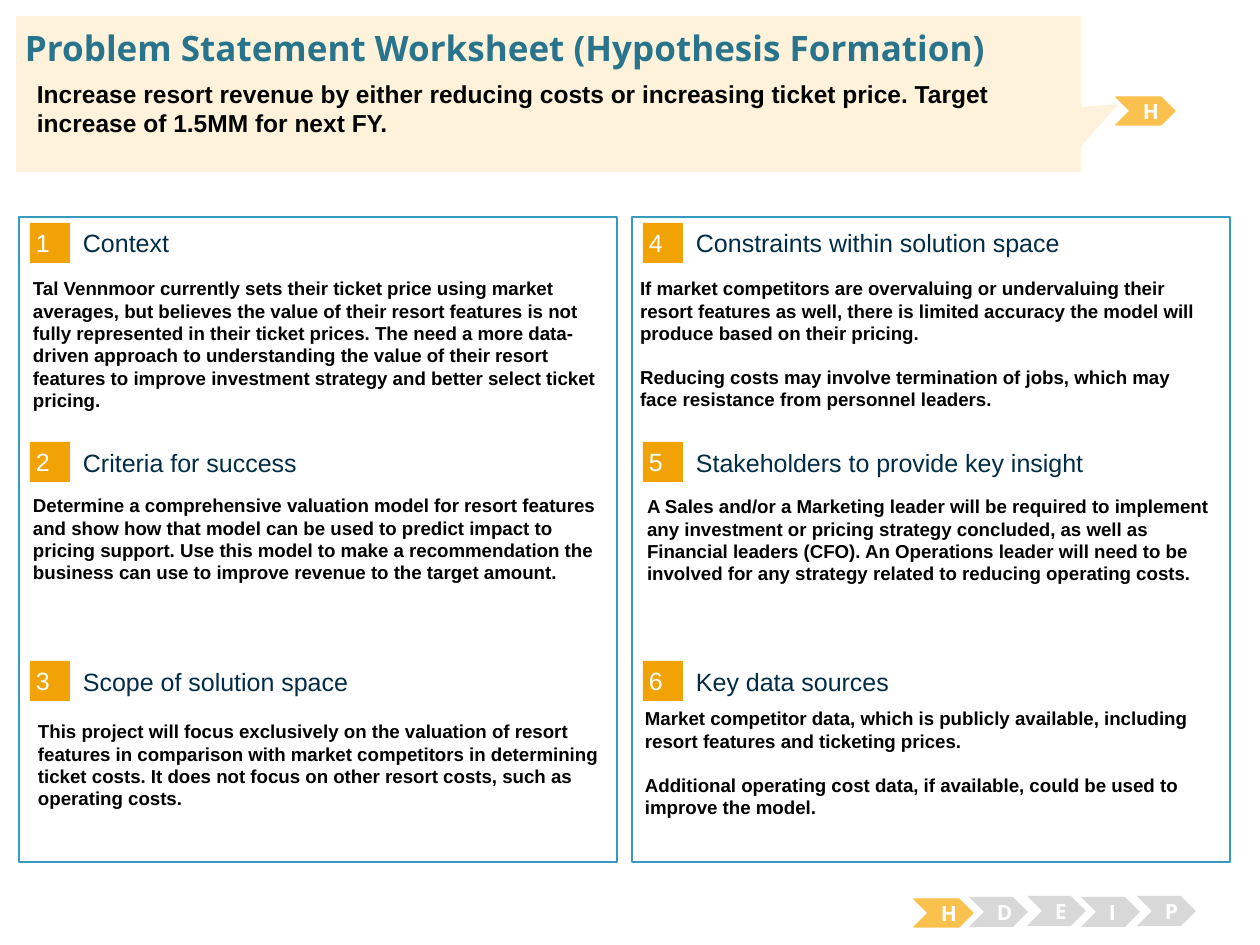
from dataclasses import dataclass
from pptx import Presentation
from pptx.dml.color import RGBColor as Color
from pptx.enum.shapes import MSO_SHAPE as Kind
from pptx.enum.text import MSO_ANCHOR as Anchor, PP_ALIGN as Align
from pptx.util import Emu, Pt

SCALE = 914400 / 126


@dataclass(frozen=True)
class Theme:
    """Colours, fonts and type sizes of the worksheet."""
    white: str = "FFFFFF"
    black: str = "000000"
    edge: str = "379BBD"
    badge: str = "F1A205"
    navy: str = "002C46"
    teal: str = "29748D"
    cream: str = "FEF2DA"
    gold: str = "FBC14E"
    grey: str = "D8D8D8"
    sans: str = "Arial"
    brand: str = "Open Sans"
    title: float = 20
    lead: float = 14
    head: float = 14.3
    body: float = 10.7
    flag: float = 12
    gap: float = 12.3


LOOK = Theme()
PAD = (13, 6, 13, 6)
NONE = (0, 0, 0, 0)

LEFT = [
    ("Context", (1, 54, 596, 171), [
        "Tal Vennmoor currently sets their ticket price using market averages, but believes "
        "the value of their resort features is not fully represented in their ticket prices. "
        "The need a more data-driven approach to understanding the value of their resort "
        "features to improve investment strategy and better select ticket pricing."]),
    ("Criteria for success", (1, 52, 596, 194), [
        "Determine a comprehensive valuation model for resort features and show how that "
        "model can be used to predict impact to pricing support. Use this model to make a "
        "recommendation the business can use to improve revenue to the target amount."]),
    ("Scope of solution space", (6, 59, 596, 103), [
        "This project will focus exclusively on the valuation of resort features in "
        "comparison with market competitors in determining ticket costs. It does not focus "
        "on other resort costs, such as operating costs."]),
]
RIGHT = [
    ("Constraints within solution space", (-5, 54, 596, 149), [
        "If market competitors are overvaluing or undervaluing their resort features as "
        "well, there is limited accuracy the model will produce based on their pricing.",
        "Reducing costs may involve termination of jobs, which may face resistance from "
        "personnel leaders."]),
    ("Stakeholders to provide key insight", (2, 53, 596, 149), [
        "A Sales and/or a Marketing leader will be required to implement any investment or "
        "pricing strategy concluded, as well as Financial leaders (CFO). An Operations "
        "leader will need to be involved for any strategy related to reducing operating "
        "costs."]),
    ("Key data sources", (0, 46, 596, 149), [
        "Market competitor data, which is publicly available, including resort features "
        "and ticketing prices.",
        "Additional operating cost data, if available, could be used to improve the model."]),
]
STEPS = [("H", 0, 3), ("D", 55, 1), ("E", 113, 0), ("I", 167, 1), ("P", 223, 0)]


def px(num):
    """Turn pixels into EMU."""
    return Emu(round(num * SCALE))


def write(shape, lines, size, color, font=LOOK.sans, bold=False, pad=PAD,
          anchor=Anchor.TOP, align=Align.LEFT):
    """Set the text of a shape and format its runs."""
    frame = shape.text_frame
    frame.text = "\n".join(lines)
    frame.word_wrap = True
    frame.vertical_anchor = anchor
    (frame.margin_left, frame.margin_top,
     frame.margin_right, frame.margin_bottom) = map(px, pad)
    for rank, para in enumerate(frame.paragraphs):
        para.alignment = align
        para.space_before = Pt(LOOK.gap if rank else 0)
        for run in para.runs:
            run.font.size = Pt(size)
            run.font.name = font
            run.font.bold = bold
            run.font.color.rgb = Color.from_string(color)


def label(slide, box, lines, size, color, **style):
    """Add a text box."""
    write(slide.shapes.add_textbox(*map(px, box)), lines, size, color, **style)


def block(slide, kind, box, fill, line=None, width=0.75):
    """Add a flat preset shape."""
    shape = slide.shapes.add_shape(kind, *map(px, box))
    shape.shadow.inherit = False
    shape.fill.solid()
    shape.fill.fore_color.rgb = Color.from_string(fill)
    if line:
        shape.line.color.rgb = Color.from_string(line)
        shape.line.width = Pt(width)
    else:
        shape.line.fill.background()
    return shape


def section(slide, left, top, num, head, body, lines):
    """Place a numbered heading and its body text."""
    badge = block(slide, Kind.RECTANGLE, (left + 11, top + 6, 40, 40), LOOK.badge)
    write(badge, [str(num)], LOOK.head, LOOK.white, pad=(6, 6, 6, 6), anchor=Anchor.MIDDLE)
    label(slide, (left + 64, top + 10, 495, 32), [head], LOOK.head, LOOK.navy,
          pad=NONE, anchor=Anchor.MIDDLE)
    x, y, wide, high = body
    label(slide, (left + x, top + y, wide, high), lines, LOOK.body, LOOK.black, bold=True)


def panel(slide, box, first, parts):
    """Place a framed column of evenly spaced sections."""
    block(slide, Kind.RECTANGLE, box, LOOK.white, LOOK.edge, 1.5)
    left, top = box[:2]
    for row, part in enumerate(parts):
        section(slide, left, top + 219 * row, first + row, *part)


def flag(slide, left, top, mark, live):
    """Place a lettered chevron, gold when live."""
    fill = LOOK.gold if live else LOOK.grey
    box = (left, top, 59, 28 if live else 30)
    shape = block(slide, Kind.CHEVRON, box, fill, fill if live else None)
    write(shape, [mark], LOOK.flag, LOOK.white, font=LOOK.brand, bold=True,
          anchor=Anchor.MIDDLE, align=Align.CENTER)


def track(slide, left, top):
    """Place the row of step chevrons."""
    for mark, x, y in STEPS:
        flag(slide, left + x, top + y, mark, mark == "H")


def banner(slide, box):
    """Place the callout with the title, the problem and its flag."""
    left, top = box[:2]
    flag(slide, left + 1100, top + 81, "H", True)
    call = block(slide, Kind.RECTANGULAR_CALLOUT, box, LOOK.cream)
    call.adjustments[0] = 0.535
    call.adjustments[1] = 0.066
    label(slide, (left + 9, top + 10, 1212, 43),
          ["Problem Statement Worksheet (Hypothesis Formation)"],
          LOOK.title, LOOK.teal, font=LOOK.brand, bold=True, pad=NONE)
    label(slide, (left + 8, top + 57, 1047, 68),
          ["Increase resort revenue by either reducing costs or increasing ticket price. "
           "Target increase of 1.5MM for next FY."],
          LOOK.lead, LOOK.black, bold=True)


def main():
    """Build and save the worksheet."""
    deck = Presentation()
    deck.slide_width, deck.slide_height = px(1260), px(945)
    slide = deck.slides.add_slide(deck.slide_layouts[6])
    for col, parts in enumerate((LEFT, RIGHT)):
        panel(slide, (19 + 613 * col, 217, 598, 645), 1 + 3 * col, parts)
    track(slide, 914, 896)
    banner(slide, (16, 16, 1065, 156))
    deck.save("out.pptx")


if __name__ == "__main__":
    main()
